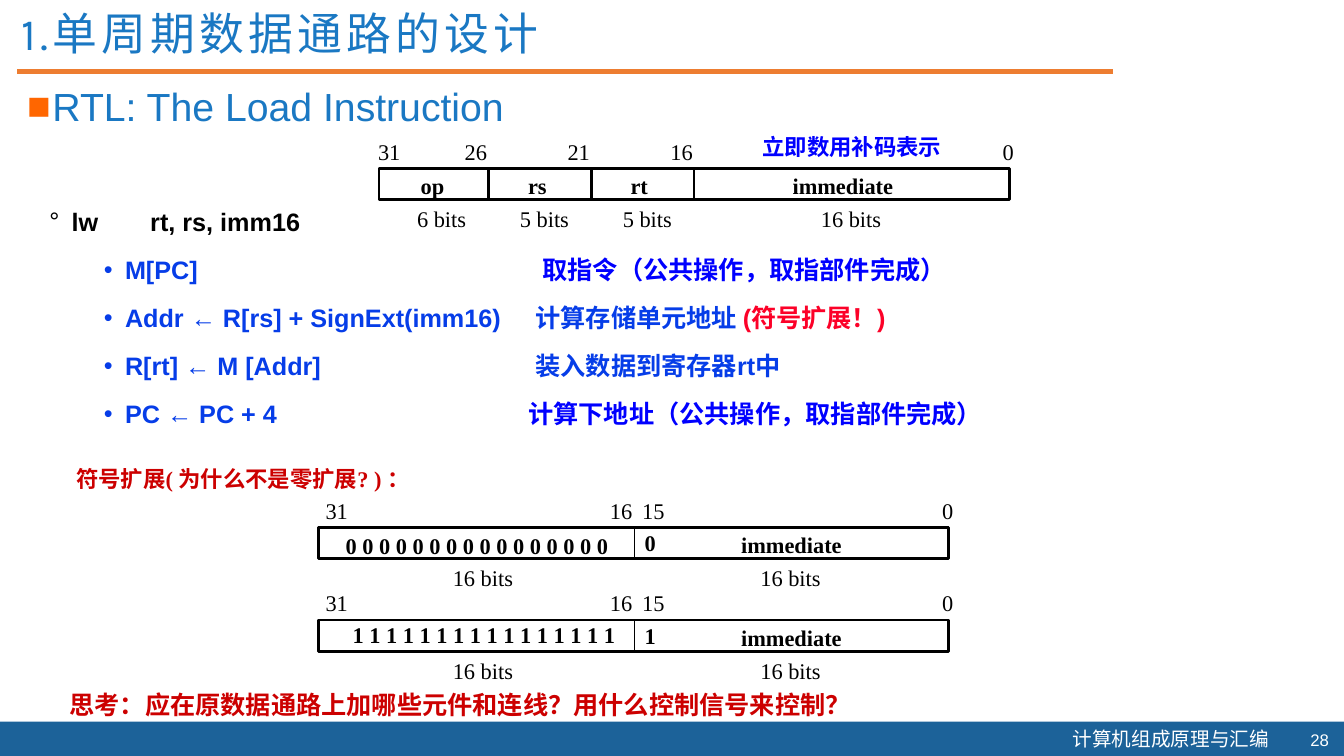
from lxml.etree import SubElement
from pptx import Presentation
from pptx.dml.color import RGBColor
from pptx.enum.shapes import MSO_CONNECTOR, MSO_SHAPE
from pptx.enum.text import MSO_ANCHOR, PP_ALIGN
from pptx.oxml.ns import qn
from pptx.util import Inches, Pt

BLACK = RGBColor(0x00, 0x00, 0x00)
WHITE = RGBColor(0xFF, 0xFF, 0xFF)
FOOTER_BLUE = RGBColor(0x1C, 0x62, 0x99)
HEADING_BLUE = RGBColor(0x1A, 0x78, 0xC3)
STEP_BLUE = RGBColor(0x06, 0x3D, 0xE8)
NOTE_BLUE = RGBColor(0x00, 0x00, 0xFF)
ORANGE = RGBColor(0xED, 0x7D, 0x31)
BULLET_ORANGE = RGBColor(0xFF, 0x66, 0x00)
ALERT_RED = RGBColor(0xFC, 0x01, 0x28)
DARK_RED = RGBColor(0xCC, 0x00, 0x00)
SERIF, SANS, CJK = "Times New Roman", "Arial", "Noto Sans CJK SC"
TITLE_FONT = "Karla"

WORD_WIDTH, FIELD_HEIGHT = 6.25, 0.31
CAPTION_HEIGHT = 0.36


def add_run(paragraph, text, size, color, font=SERIF, bold=False):
    run = paragraph.add_run()
    run.text = text
    run.font.size = Pt(size)
    run.font.name = font
    run.font.bold = bold
    run.font.color.rgb = color
    SubElement(run._r.get_or_add_rPr(), qn("a:ea"), typeface=CJK)
    return run


def place(shape, left, top, width, height):
    shape.left, shape.top = Inches(left), Inches(top)
    shape.width, shape.height = Inches(width), Inches(height)


def set_bullet(paragraph, symbol, margin, hanging, color=None, tab=None):
    """Give a paragraph its bullet, hanging indent and optional tab stop."""
    properties = paragraph._p.get_or_add_pPr()
    properties.set("marL", str(Inches(margin)))
    properties.set("indent", str(-Inches(hanging)))
    if color is not None:
        bullet_color = SubElement(properties, qn("a:buClr"))
        SubElement(bullet_color, qn("a:srgbClr"), val=str(color))
    SubElement(properties, qn("a:buFont"), typeface=SANS)
    SubElement(properties, qn("a:buChar"), char=symbol)
    if tab is not None:
        tabs = SubElement(properties, qn("a:tabLst"))
        SubElement(tabs, qn("a:tab"), pos=str(Inches(tab)), algn="l")


def add_text(slide, text, box, size, color, font=SERIF, bold=False,
             align=PP_ALIGN.LEFT, wrap=True):
    text_box = slide.shapes.add_textbox(*map(Inches, box))
    frame = text_box.text_frame
    frame.word_wrap = wrap
    paragraph = frame.paragraphs[0]
    paragraph.alignment = align
    add_run(paragraph, text, size, color, font, bold)
    return text_box


def add_box(slide, left, top, width, height, fill=None, line_width=None):
    shape = slide.shapes.add_shape(
        MSO_SHAPE.RECTANGLE, *map(Inches, (left, top, width, height)))
    shape.shadow.inherit = False
    if fill is None:
        shape.fill.background()
    else:
        shape.fill.solid()
        shape.fill.fore_color.rgb = fill
    if line_width is None:
        shape.line.fill.background()
    else:
        shape.line.color.rgb = BLACK
        shape.line.width = Pt(line_width)


def add_caption(slide, text, center, top, width, bold=False):
    box = (center - width / 2, top, width, CAPTION_HEIGHT)
    add_text(slide, text, box, 16, BLACK, bold=bold,
             align=PP_ALIGN.CENTER, wrap=False)


def add_word(slide, left, top, positions, fields, names, sizes):
    """Draw a 32-bit word; horizontal places count from its left edge."""
    add_box(slide, left, top, WORD_WIDTH, FIELD_HEIGHT, line_width=2)
    for offset, width in fields:
        add_box(slide, left + offset, top, width, FIELD_HEIGHT, line_width=1)
    for text, center in positions:
        add_caption(slide, text, left + center, top - 0.35, 0.22 + 0.11 * len(text))
    for text, center, width, shift in names:
        add_caption(slide, text, left + center, top + shift, width, bold=True)
    for text, center in sizes:
        add_caption(slide, text, left + center, top + 0.32, 0.11 * len(text) + 0.05)


def add_instruction_word(slide):
    add_word(
        slide, 3.76, 1.67,
        positions=[("31", 0.1), ("26", 0.96), ("21", 1.98), ("16", 3.0), ("0", 6.24)],
        fields=[(0, 1.08), (1.09, 1.01), (2.11, 1.01), (3.13, 3.12)],
        names=[("op", 0.53, 0.6, -0.01), ("rs", 1.57, 0.6, -0.01),
               ("rt", 2.58, 0.6, -0.01), ("immediate", 4.6, 1.3, -0.01)],
        sizes=[("6 bits", 0.62), ("5 bits", 1.64), ("5 bits", 2.66), ("16 bits", 4.68)])


def add_extended_word(slide, top, sign, extension_center, extension_shift):
    add_word(
        slide, 3.16, top,
        positions=[("31", 0.18), ("16", 3.0), ("15", 3.32), ("0", 6.24)],
        fields=[(3.13, 3.12)],
        names=[(" ".join(sign * 16), extension_center, 2.9, extension_shift),
               (sign, 3.29, 0.33, -0.03), ("immediate", 4.69, 1.3, -0.01)],
        sizes=[("16 bits", 1.63), ("16 bits", 4.68)])


def fill_title(title):
    place(title, 0.11, 0.07, 10.65, 0.48)
    title.text_frame.vertical_anchor = MSO_ANCHOR.TOP
    paragraph = title.text_frame.paragraphs[0]
    paragraph.alignment = PP_ALIGN.LEFT
    paragraph.line_spacing = 0.9
    run = add_run(paragraph, "1.单周期数据通路的设计", 32, HEADING_BLUE, TITLE_FONT)
    run._r.get_or_add_rPr().set("spc", "300")


def fill_heading(body):
    place(body, 0.17, 0.77, 12.94, 0.7)
    paragraph = body.text_frame.paragraphs[0]
    paragraph.space_before = Pt(10)
    set_bullet(paragraph, "■", 0.25, 0.25, BULLET_ORANGE)
    add_run(paragraph, "RTL: The Load Instruction", 28, HEADING_BLUE, SANS)


def fill_steps(body):
    place(body, 0.42, 1.93, 9.47, 2.43)
    frame = body.text_frame
    frame.margin_left = frame.margin_right = Inches(0.07)
    frame.margin_top = frame.margin_bottom = Inches(0.03)
    steps = [
        (1.0, [("lw\trt, rs, imm16", BLACK)]),
        (4.89, [("M[PC]\t", STEP_BLUE), ("取指令（公共操作，取指部件完成）", NOTE_BLUE)]),
        (4.82, [("Addr ← R[rs] + SignExt(imm16)\t计算存储单元地址 ", STEP_BLUE),
                ("(符号扩展！)", ALERT_RED)]),
        (4.82, [("R[rt] ← M [Addr]\t装入数据到寄存器rt中", STEP_BLUE)]),
        (4.75, [("PC ← PC + 4\t", STEP_BLUE),
                ("计算下地址（公共操作，取指部件完成）", NOTE_BLUE)]),
    ]
    for index, (tab, runs) in enumerate(steps):
        paragraph = frame.add_paragraph() if index else frame.paragraphs[0]
        paragraph.line_spacing = 1.3
        paragraph.space_before = Pt(6.2)
        if index:
            paragraph.level = 1
            set_bullet(paragraph, "•", 0.75, 0.21, tab=tab)
        else:
            set_bullet(paragraph, "°", 0.22, 0.22, tab=tab)
        for text, color in runs:
            add_run(paragraph, text, 18, color, SANS, bold=True)


def add_page_frame(slide):
    add_box(slide, 0, 7.16, 13.33, 0.35, fill=FOOTER_BLUE)
    add_text(slide, "计算机组成原理与汇编", (10.54, 7.16, 2.18, 0.34), 14, WHITE, CJK)
    number = add_text(slide, "28", (12.78, 7.19, 0.5, 0.3), 12, WHITE, SANS,
                      align=PP_ALIGN.RIGHT)
    number.text_frame.vertical_anchor = MSO_ANCHOR.MIDDLE
    rule = slide.shapes.add_connector(
        MSO_CONNECTOR.STRAIGHT, *map(Inches, (0.17, 0.71, 11.04, 0.71)))
    rule.line.color.rgb = ORANGE
    rule.line.width = Pt(3)
    SubElement(rule._element.spPr, qn("a:effectLst"))


def main():
    presentation = Presentation()
    presentation.slide_width, presentation.slide_height = Inches(13.33), Inches(7.5)
    slide = presentation.slides.add_slide(presentation.slide_layouts[3])
    title, heading, steps = list(slide.placeholders)[:3]
    add_page_frame(slide)
    fill_title(title)
    fill_heading(heading)
    fill_steps(steps)
    add_instruction_word(slide)
    add_extended_word(slide, 5.23, "0", 1.57, 0)
    add_extended_word(slide, 6.15, "1", 1.64, -0.04)
    add_text(slide, "符号扩展( 为什么不是零扩展? ) ：", (0.56, 4.57, 3.7, 0.37),
             16, DARK_RED, bold=True, align=PP_ALIGN.CENTER)
    add_text(slide, "思考：应在原数据通路上加哪些元件和连线？用什么控制信号来控制？",
             (0.59, 6.79, 9.1, 0.4), 18, DARK_RED, bold=True)
    add_text(slide, "立即数用补码表示", (7.11, 1.27, 2.68, 0.37), 16, NOTE_BLUE,
             bold=True, align=PP_ALIGN.CENTER)
    presentation.save("out.pptx")


if __name__ == "__main__":
    main()
